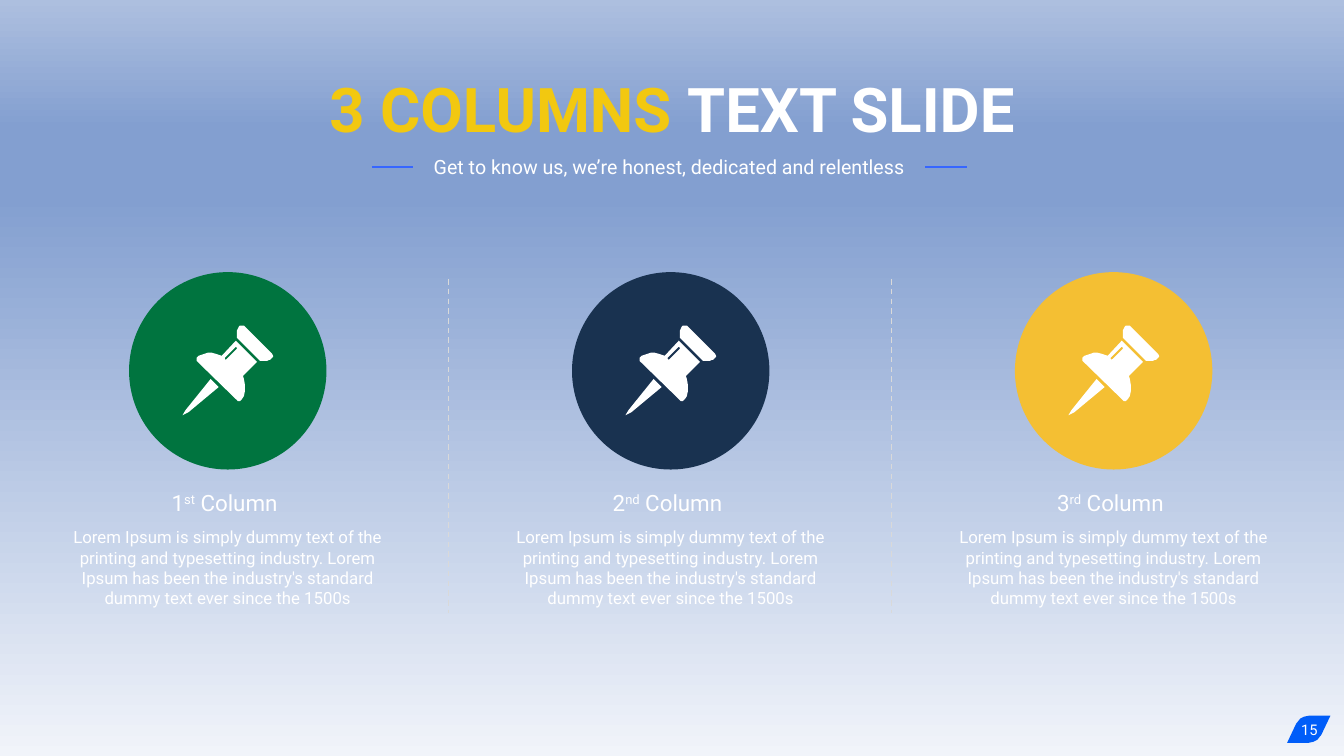
"""Build a slide with three text columns, each under a pin in a circle."""
from lxml.etree import SubElement
from pptx import Presentation
from pptx.dml.color import RGBColor
from pptx.enum.dml import MSO_LINE_DASH_STYLE as Dash
from pptx.enum.shapes import MSO_CONNECTOR as Connector, MSO_SHAPE as Preset
from pptx.enum.text import MSO_ANCHOR as Anchor, MSO_AUTO_SIZE as AutoSize, PP_ALIGN as Align
from pptx.oxml.ns import qn
from pptx.util import Pt

FONT = "Roboto"
COLORS = {
    "white": "FFFFFF", "title": "F2C810", "rule": "3666FF", "divider": "D9D9D9",
    "badge": "005DF9", "green": "00743F", "navy": "193250", "yellow": "F4BF33",
}
BACKGROUND = [(0, "F1F4FA"), (74, "839FD0"), (83, "839FD0"), (100, "ADBFDF")]
COLUMNS = [("1", "st", "green"), ("2", "nd", "navy"), ("3", "rd", "yellow")]
COLUMN_STEP = 316.4
BODY = ("Lorem Ipsum is simply dummy text of the printing and typesetting industry. "
        "Lorem Ipsum has been the industry's standard dummy text ever since the 1500s")

OUTLINE_UNIT = 0.72
PIN_NEEDLE = [[(81, 106), (56, 137), (53, 142), (59, 139), (89, 114)]]
PIN_HEAD = [[
    (111, 53), (110, 53), (109, 54), (108, 56), (107, 58), (107, 65), (108, 66),
    (129, 87), (130, 88), (137, 88), (139, 87), (140, 87), (142, 85), (143, 84),
    (143, 83), (142, 81), (114, 53), (112, 53),
]]
PIN_BODY = [
    [(106, 74), (107, 75), (107, 76), (97, 86), (96, 87), (95, 86), (95, 85), (105, 75)],
    [(106, 68), (92, 83), (89, 82), (86, 81), (82, 80), (78, 80), (75, 81), (72, 82),
     (69, 83), (67, 85), (67, 88), (107, 127), (108, 128), (110, 128), (112, 126),
     (114, 123), (115, 118), (115, 112), (114, 106), (113, 103), (127, 89)],
]
BADGE = [[
    (22, 0), (17, 1), (13, 3), (9, 8), (0, 27), (21, 27), (26, 26), (30, 24),
    (34, 19), (43, 0),
]]


def rgb(name):
    return RGBColor.from_string(COLORS[name])


def set_background(page):
    fill = page.background.fill
    fill.gradient()
    fill.gradient_angle = 90
    stops = page.element.find(".//" + qn("a:gsLst"))
    for stop in list(stops):
        stops.remove(stop)
    for percent, color in BACKGROUND:
        stop = SubElement(stops, qn("a:gs"), pos=str(percent * 1000))
        SubElement(stop, qn("a:srgbClr"), val=color)


def place(shape, left, top, width, height):
    shape.left, shape.top = Pt(left), Pt(top)
    shape.width, shape.height = Pt(width), Pt(height)


def write(shape, spans, size, bold=False, anchor=Anchor.TOP):
    frame = shape.text_frame
    frame.word_wrap = True
    frame.auto_size = AutoSize.NONE
    frame.vertical_anchor = anchor
    para = frame.paragraphs[0]
    para.alignment = Align.CENTER
    para.space_before = Pt(0)
    for text, color, raised in spans:
        span = para.add_run()
        span.text = text
        span.font.name = FONT
        span.font.size = Pt(size)
        span.font.bold = bold
        span.font.color.rgb = rgb(color)
        if raised:
            span.font._element.set("baseline", "30000")
    return para


def add_text(shapes, spans, bounds, size, anchor=Anchor.TOP):
    box = shapes.add_textbox(*map(Pt, bounds))
    write(box, spans, size, anchor=anchor)


def paint(shape, color):
    shape.shadow.inherit = False
    shape.fill.solid()
    shape.fill.fore_color.rgb = rgb(color)
    shape.line.fill.background()


def add_outline(shapes, contours, left, top, color):
    first, *others = contours
    builder = shapes.build_freeform(*first[0], scale=Pt(OUTLINE_UNIT))
    builder.add_line_segments(first[1:], close=True)
    for contour in others:
        builder.move_to(*contour[0])
        builder.add_line_segments(contour[1:], close=True)
    paint(builder.convert_to_shape(Pt(left), Pt(top)), color)


def add_line(shapes, start, end, color, width, dash=None):
    line = shapes.add_connector(Connector.STRAIGHT, *map(Pt, start + end))
    line.line.color.rgb = rgb(color)
    line.line.width = Pt(width)
    if dash:
        line.line.dash_style = dash
    SubElement(line._element.spPr, qn("a:effectLst"))


def add_column(shapes, shift, number, suffix, color):
    left, top = 92.2 + shift, 194.4
    circle = shapes.add_shape(Preset.OVAL, Pt(left), Pt(top), Pt(141), Pt(141))
    paint(circle, color)
    for contours in (PIN_NEEDLE, PIN_HEAD, PIN_BODY):
        add_outline(shapes, contours, left, top, "white")
    heading = [(number, "white", False), (suffix, "white", True), (" Column ", "white", False)]
    add_text(shapes, heading, (51.1 + shift, 345.6, 222.5, 26.6), 16)
    add_text(shapes, [(BODY, "white", False)], (43.9 + shift, 373, 237.6, 65.5), 12)


def add_heading(page):
    title, subtitle = page.shapes.title, page.placeholders[1]
    place(title, 66.2, 46.8, 828, 61.2)
    write(title, [("3 COLUMNS ", "title", False), ("TEXT SLIDE", "white", False)],
          44, bold=True, anchor=Anchor.MIDDLE)
    place(subtitle, 64.1, 107.3, 828, 24.5)
    para = write(subtitle, [("Get to know us, we’re honest, dedicated and relentless",
                             "white", False)], 14)
    properties = para._p.get_or_add_pPr()
    properties.set("marL", "0")
    properties.set("indent", "0")
    SubElement(properties, qn("a:buNone"))
    for left in (265.7, 661):
        add_line(page.shapes, (left, 119.5), (left + 29.5, 119.5), "rule", 1.5)


def add_page_number(page):
    add_outline(page.shapes, BADGE, 919.4, 511.2, "badge")
    add_text(page.shapes, [("15", "white", False)], (914.4, 506.9, 41.8, 28.8),
             10.5, Anchor.MIDDLE)


def main():
    deck = Presentation()
    deck.slide_width, deck.slide_height = Pt(960), Pt(540)
    page = deck.slides.add_slide(deck.slide_layouts[1])
    set_background(page)
    add_page_number(page)
    add_heading(page)
    columns = page.shapes.add_group_shape().shapes
    for index, column in enumerate(COLUMNS):
        shift = index * COLUMN_STEP
        if index:
            divider = 4 + shift
            add_line(columns, (divider, 199.4), (divider, 437.8), "divider", 1, Dash.DASH)
        add_column(columns, shift, *column)
    deck.save("out.pptx")


if __name__ == "__main__":
    main()
